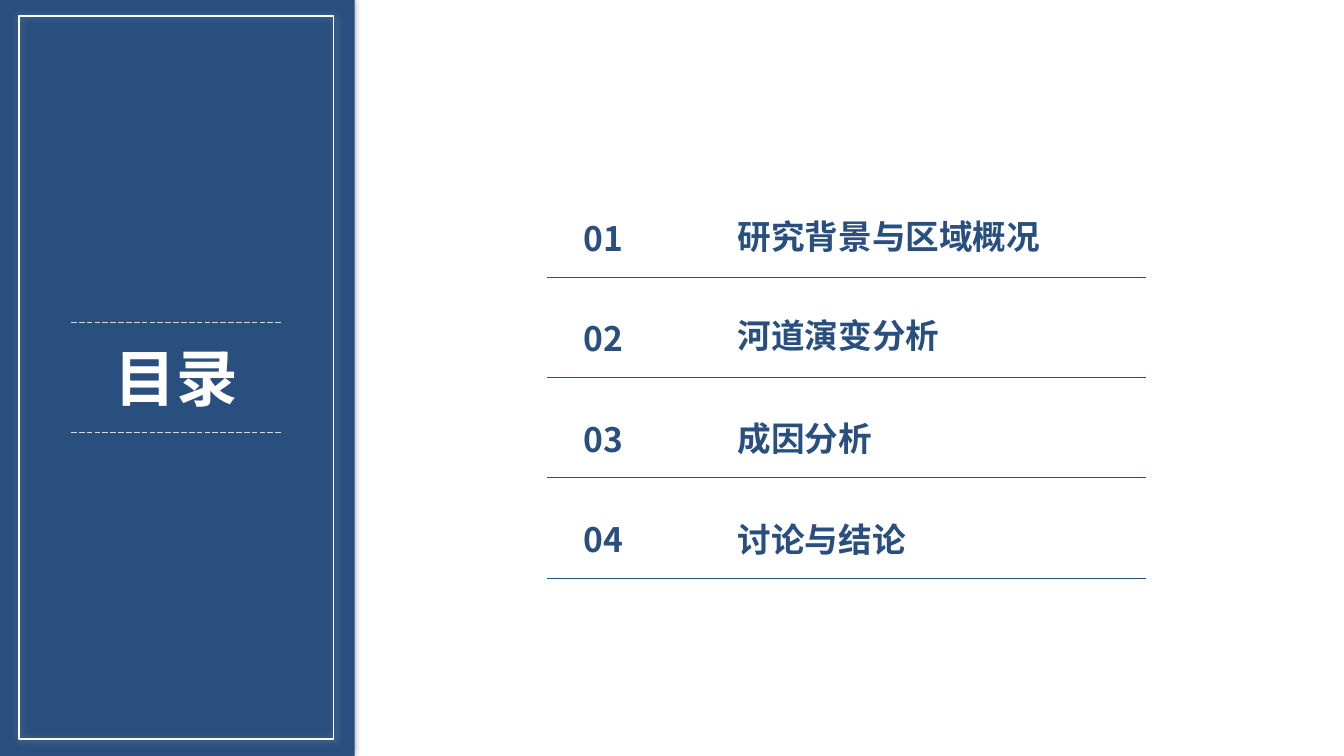
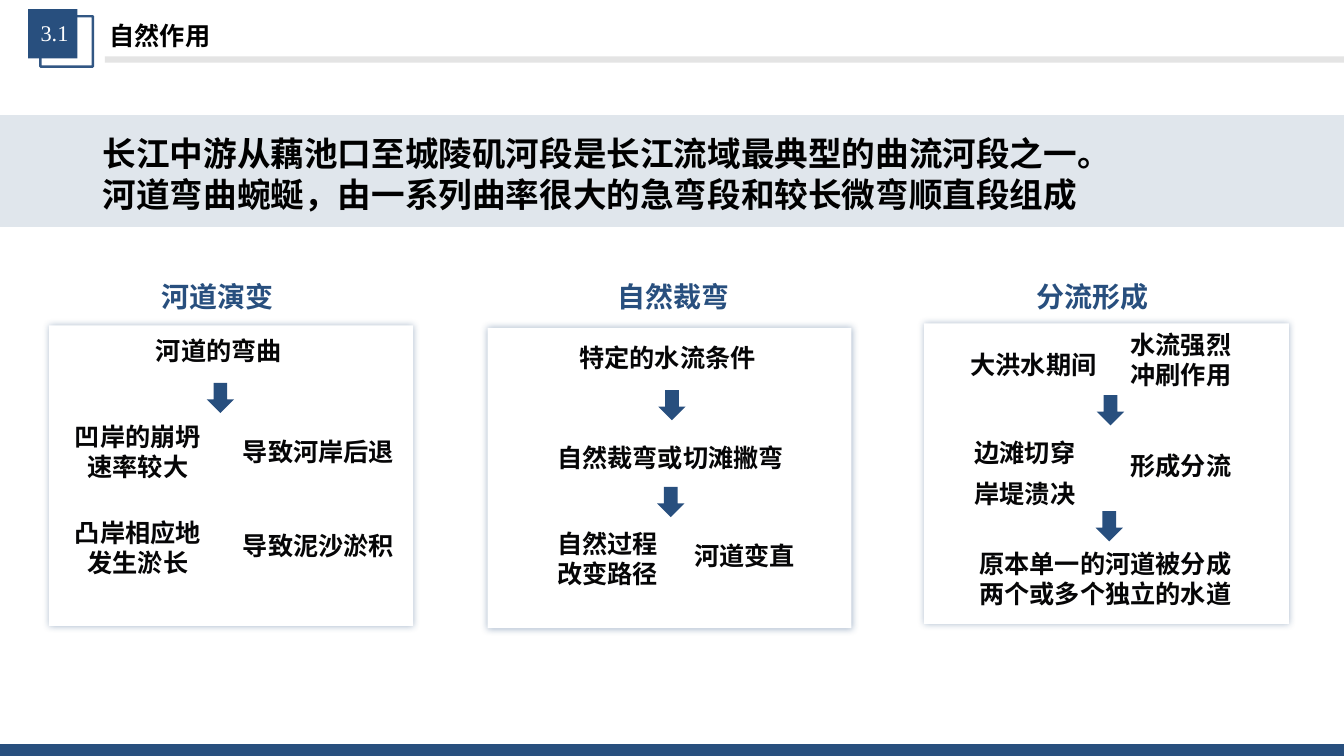
from lxml.etree import SubElement
from pptx import Presentation
from pptx.dml.color import RGBColor
from pptx.enum.dml import MSO_LINE
from pptx.enum.shapes import MSO_CONNECTOR, MSO_SHAPE
from pptx.enum.text import MSO_ANCHOR, PP_ALIGN
from pptx.oxml.ns import qn
from pptx.util import Cm, Pt

SLIDE_WIDTH, SLIDE_HEIGHT = 33.87, 19.05
SANS, SERIF = "Noto Sans CJK SC", "Times New Roman"
COLORS = {
    "navy": "284F7E",
    "white": "FFFFFF",
    "black": "000000",
    "ink": "060607",
    "dash": "D9D9D9",
    "rule": "BFBFBF",
}
ARROW_SIZE = (0.69, 0.76)

# Contents entries: title and top of its text
CONTENTS = [
    ("研究背景与区域概况", 5.31),
    ("河道演变分析", 7.82),
    ("成因分析", 10.41),
    ("讨论与结论", 12.95),
]

# Cards: box and heading (left, top, width), labels (text, left, top, width), arrows (left, top)
CARDS = [
    {
        "box": (1.24, 8.2, 9.17),
        "heading": ("河道演变", 3.81, 6.91, 4.11),
        "labels": [
            ("河道的弯曲", 3.68, 8.33, 3.91),
            ("导致河岸后退", 5.87, 10.87, 4.37),
            ("导致泥沙淤积", 5.87, 13.23, 4.37),
        ],
        "centred": [
            ("凹岸的崩坍速率较大", 1.52, 10.49, 3.91),
            ("凸岸相应地发生淤长", 1.52, 12.9, 3.91),
        ],
        "arrows": [(5.21, 9.65)],
    },
    {
        "box": (12.29, 8.26, 9.17),
        "heading": ("自然裁弯", 15.32, 6.93, 3.45),
        "labels": [
            ("特定的水流条件", 14.35, 8.51, 5.82),
            ("自然裁弯或切滩撇弯", 13.79, 11.02, 6.45),
            ("自然过程\n改变路径", 13.79, 13.18, 3.45),
            ("河道变直", 17.25, 13.49, 3.15),
        ],
        "centred": [],
        "arrows": [(16.59, 9.83), (16.56, 12.27)],
    },
    {
        "box": (23.29, 8.15, 9.19),
        "heading": ("分流形成", 25.86, 6.91, 3.4),
        "labels": [
            ("大洪水期间", 24.21, 8.69, 3.75),
            ("水流强烈冲刷作用", 28.24, 8.18, 3.4),
            ("边滩切穿", 24.31, 10.9, 3.3),
            ("岸堤溃决", 24.31, 11.94, 3.3),
            ("形成分流", 28.24, 11.23, 3.3),
            ("原本单一的河道被分成两个或多个独立的水道", 24.43, 13.69, 6.95),
        ],
        "centred": [],
        "arrows": [(27.64, 9.96), (27.61, 12.88)],
    },
]


def color_of(name):
    return RGBColor.from_string(COLORS[name])


def set_alpha(parent, percent):
    """Make the solid colour inside a fill or line element translucent."""
    color = parent.find(qn("a:solidFill")).find(qn("a:srgbClr"))
    SubElement(color, qn("a:alpha"), val=str(percent * 1000))


def add_glow_shadow(shape, color):
    """Soft 5 pt shadow spread evenly around the shape."""
    effects = shape.element.spPr.find(qn("a:effectLst"))
    shadow = SubElement(effects, qn("a:outerShdw"), blurRad=str(Pt(5)), dist="0",
                        dir="0", algn="ctr", rotWithShape="0")
    tint = SubElement(shadow, qn("a:srgbClr"), val=COLORS[color])
    SubElement(tint, qn("a:alpha"), val="40000")


def add_block(shapes, left, top, width, height, fill=None, line=None, line_width=1,
              fill_alpha=None, line_alpha=None, shadow=None, kind=MSO_SHAPE.RECTANGLE):
    shape = shapes.add_shape(kind, Cm(left), Cm(top), Cm(width), Cm(height))
    shape.shadow.inherit = False
    if fill:
        shape.fill.solid()
        shape.fill.fore_color.rgb = color_of(fill)
    else:
        shape.fill.background()
    if line:
        shape.line.color.rgb = color_of(line)
        shape.line.width = Pt(line_width)
    else:
        shape.line.fill.background()
    if fill_alpha:
        set_alpha(shape.element.spPr, fill_alpha)
    if line_alpha:
        set_alpha(shape.element.spPr.find(qn("a:ln")), line_alpha)
    if shadow:
        add_glow_shadow(shape, shadow)
    return shape


def add_rule(shapes, left, right, top, color, width=0.5, dash=None, alpha=None):
    """Horizontal line."""
    rule = shapes.add_connector(MSO_CONNECTOR.STRAIGHT, Cm(left), Cm(top), Cm(right), Cm(top))
    rule.line.color.rgb = color_of(color)
    rule.line.width = Pt(width)
    if dash:
        rule.line.dash_style = dash
    properties = rule.element.spPr
    if alpha:
        set_alpha(properties.find(qn("a:ln")), alpha)
    SubElement(properties, qn("a:effectLst"))
    return rule


def add_text(shapes, text, left, top, width, height=1.02, size=18, font=SANS, color="ink",
             bold=True, align=PP_ALIGN.LEFT, anchor=MSO_ANCHOR.TOP):
    box = shapes.add_textbox(Cm(left), Cm(top), Cm(width), Cm(height))
    frame = box.text_frame
    frame.word_wrap = True
    frame.vertical_anchor = anchor
    frame.text = text
    for paragraph in frame.paragraphs:
        paragraph.alignment = align
        for run in paragraph.runs:
            run.font.name = font
            run.font.size = Pt(size)
            run.font.bold = bold
            run.font.color.rgb = color_of(color)
            SubElement(run.font._element, qn("a:ea"), typeface=SANS)
    return box


def add_page_header(slide, number, title):
    """Numbered badge, title, grey rule and the band at the foot."""
    shapes = slide.shapes
    add_block(shapes, 0, 18.75, SLIDE_WIDTH, 0.3, fill="navy")
    add_rule(shapes, 2.64, SLIDE_WIDTH, 1.5, "rule", width=4.5, alpha=42)
    badge = shapes.add_group_shape().shapes
    add_block(badge, 1.02, 0.41, 1.32, 1.27, line="navy", line_width=1.75, line_alpha=94)
    add_block(badge, 0.71, 0.23, 1.24, 1.24, fill="navy")
    add_text(badge, number, 0.41, 0.1, 1.93, 1.45, size=16, font=SERIF, color="white",
             bold=False, align=PP_ALIGN.CENTER, anchor=MSO_ANCHOR.MIDDLE)
    add_text(shapes, title, 2.51, 0.38, 8.48, color="black")


def add_card(slide, card):
    shapes = slide.shapes.add_group_shape().shapes
    add_block(shapes, *card["box"], 7.57, fill="white", shadow="navy")
    add_text(shapes, *card["heading"], 1.12, size=20, color="navy")
    for label in card["labels"]:
        add_text(shapes, *label)
    for label in card["centred"]:
        add_text(shapes, *label, align=PP_ALIGN.CENTER)
    for position in card["arrows"]:
        add_block(shapes, *position, *ARROW_SIZE, fill="navy", kind=MSO_SHAPE.DOWN_ARROW)


def build_contents(slide):
    # Side panel
    shapes = slide.shapes
    add_block(shapes, 0, 0, 8.94, SLIDE_HEIGHT, fill="navy", shadow="black")
    add_block(shapes, 0.48, 0.4, 7.93, 18.22, line="white", shadow="white")
    add_text(shapes, "目录", 1.42, 8.43, 6.05, 2.13, size=44, font=SERIF, color="white",
             align=PP_ALIGN.CENTER)
    for top in (8.13, 10.9):
        add_rule(shapes, 1.79, 7.1, top, "dash", dash=MSO_LINE.LONG_DASH)

    # Numbered entries
    for index, (title, title_top) in enumerate(CONTENTS):
        entry = slide.shapes.add_group_shape().shapes
        rule_top = 6.98 + 2.53 * index
        add_text(entry, f"{index + 1:02d}", 13.51, rule_top - 1.62, 3.4, 1.27, size=24,
                 color="navy", align=PP_ALIGN.CENTER)
        add_text(entry, title, 18.34, title_top, 10, 1.27, size=24, color="navy")
        add_rule(entry, 13.79, 28.88, rule_top, "navy")


def build_natural_causes(slide):
    add_page_header(slide, "3.1", "自然作用")

    # Key statement
    add_block(slide.shapes, 0, 2.9, SLIDE_WIDTH, 2.82, fill="navy", fill_alpha=14)
    add_text(slide.shapes, "长江中游从藕池口至城陵矶河段是长江流域最典型的曲流河段之一。"
             "河道弯曲蜿蜒，由一系列曲率很大的急弯段和较长微弯顺直段组成",
             2.34, 3.23, 25.6, 2.31, size=24, color="black")

    # Process cards
    for card in CARDS:
        add_card(slide, card)


def main():
    presentation = Presentation()
    presentation.slide_width = Cm(SLIDE_WIDTH)
    presentation.slide_height = Cm(SLIDE_HEIGHT)
    blank_layout = presentation.slide_layouts[6]
    for build in (build_contents, build_natural_causes):
        build(presentation.slides.add_slide(blank_layout))
    presentation.save("out.pptx")


if __name__ == "__main__":
    main()
